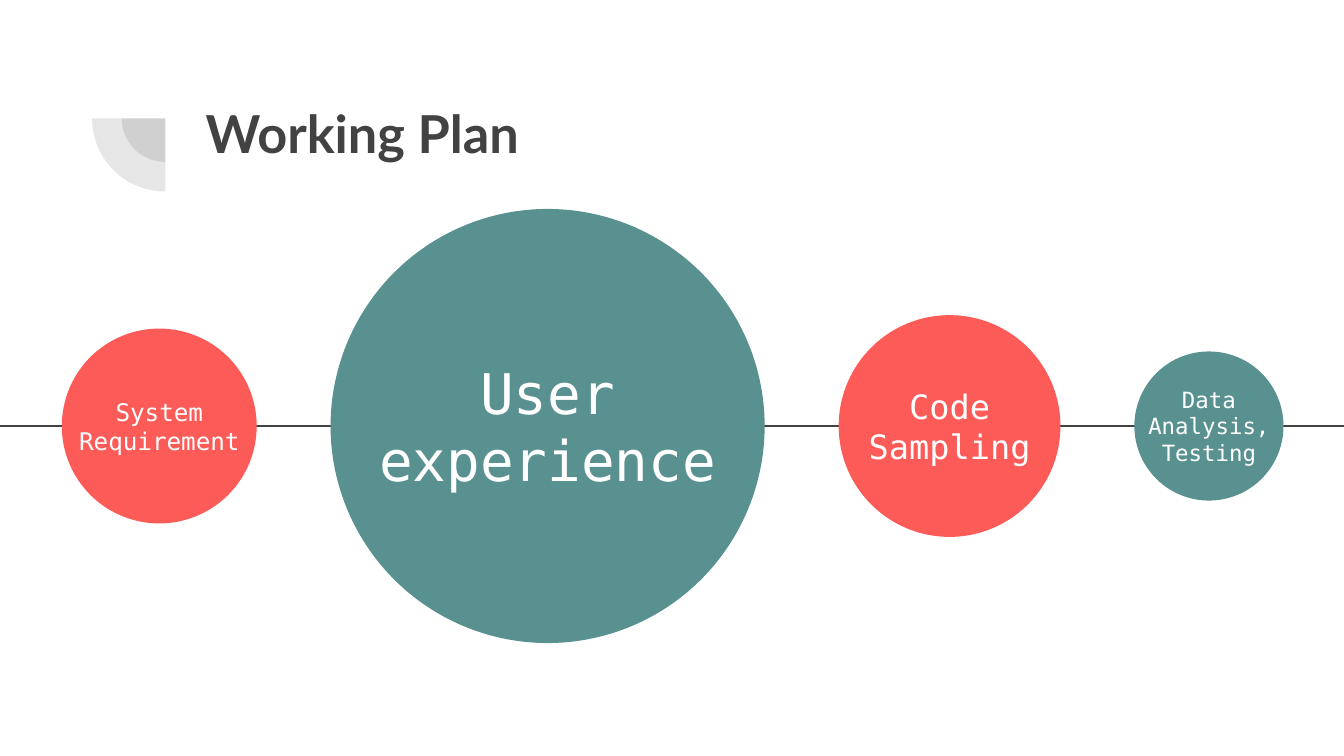
from dataclasses import dataclass

from lxml import etree
from pptx import Presentation
from pptx.dml.color import RGBColor
from pptx.enum.shapes import MSO_CONNECTOR, MSO_SHAPE
from pptx.enum.text import MSO_ANCHOR, MSO_AUTO_SIZE, PP_ALIGN
from pptx.oxml.ns import qn
from pptx.util import Inches, Pt

STRAIGHT = MSO_CONNECTOR.STRAIGHT
PIE, OVAL = MSO_SHAPE.PIE, MSO_SHAPE.OVAL
TOP, MIDDLE = MSO_ANCHOR.TOP, MSO_ANCHOR.MIDDLE
LEFT, CENTER = PP_ALIGN.LEFT, PP_ALIGN.CENTER
NO_AUTOFIT = MSO_AUTO_SIZE.NONE

DARK = RGBColor(0x42, 0x42, 0x42)
CORAL = RGBColor(0xFD, 0x5B, 0x58)
TEAL = RGBColor(0x59, 0x91, 0x91)
WHITE = RGBColor(0xFF, 0xFF, 0xFF)

# Slide (16:9) and timeline grid, in inches
WIDTH = 10
HEIGHT = WIDTH * 9 / 16
AXIS_Y = 3.17
FIRST_LEFT, GAP = 0.46, 0.55
LABEL_HEIGHT = 0.66
PIE_X, PIE_Y = 1.23, 0.88


@dataclass(frozen=True)
class Stage:
    label: str
    diameter: float
    size: int
    color: RGBColor


STAGES = (
    Stage("System Requirement", 1.45, 13, CORAL),
    Stage("User experience", 3.23, 30, TEAL),
    Stage("Code Sampling", 1.65, 18, CORAL),
    Stage("Data Analysis,Testing", 1.11, 12, TEAL),
)


def write(s, text: str, font: str, size: int, color: RGBColor,
          align: PP_ALIGN, anchor: MSO_ANCHOR, bold: bool = False) -> None:
    tf = s.text_frame
    tf.word_wrap = True
    tf.auto_size = NO_AUTOFIT
    tf.vertical_anchor = anchor
    tf.margin_left = tf.margin_right = Inches(0.1)
    tf.margin_top = tf.margin_bottom = Inches(0.1)
    p = tf.paragraphs[0]
    p.alignment = align
    p.line_spacing = 1.0
    r = p.add_run()
    r.text = text
    r.font.name, r.font.size, r.font.bold = font, Pt(size), bold
    r.font.color.rgb = color


def add_round(slide, preset: MSO_SHAPE, cx: float, cy: float,
              diameter: float, color: RGBColor):
    """Add a flat, unlined round shape centred on (cx, cy)."""
    sp = slide.shapes.add_shape(
        preset, Inches(cx - diameter / 2), Inches(cy - diameter / 2),
        Inches(diameter), Inches(diameter))
    sp.shadow.inherit = False
    sp.fill.solid()
    sp.fill.fore_color.rgb = color
    sp.line.fill.background()
    return sp


def add_quarter(slide, diameter: float) -> None:
    """Add a translucent lower-left quarter disc beside the title."""
    sp = add_round(slide, PIE, PIE_X, PIE_Y, diameter, DARK)
    sp.adjustments[0], sp.adjustments[1] = 108, 162
    sp.rotation = 270
    clr = sp._element.spPr.find(qn("a:solidFill"))[0]
    etree.SubElement(clr, qn("a:alpha")).set("val", "13000")


def add_axis(slide) -> None:
    line = slide.shapes.add_connector(
        STRAIGHT, Inches(-0.01), Inches(AXIS_Y), Inches(WIDTH), Inches(AXIS_Y))
    line.line.color.rgb = DARK
    line.line.width = Pt(1.5)
    etree.SubElement(line._element.spPr, qn("a:effectLst"))


def add_stage(slide, stage: Stage, left: float) -> None:
    add_round(slide, OVAL, left + stage.diameter / 2, AXIS_Y,
              stage.diameter, stage.color)
    box = slide.shapes.add_textbox(
        Inches(left), Inches(AXIS_Y - LABEL_HEIGHT / 2),
        Inches(stage.diameter), Inches(LABEL_HEIGHT))
    write(box, stage.label, "DejaVu Sans Mono", stage.size, WHITE,
          CENTER, MIDDLE)


def main() -> None:
    prs = Presentation()
    prs.slide_width, prs.slide_height = Inches(WIDTH), Inches(HEIGHT)
    slide = prs.slides.add_slide(prs.slide_layouts[5])

    title = slide.shapes.title
    title.left, title.top = Inches(1.43), Inches(0.65)
    title.width, title.height = Inches(7.69), Inches(1.09)
    write(title, "Working Plan", "Lato", 28, DARK, LEFT, TOP, bold=True)

    for diameter in (0.65, 1.09):
        add_quarter(slide, diameter)

    add_axis(slide)
    left = FIRST_LEFT
    for stage in STAGES:
        add_stage(slide, stage, left)
        left += stage.diameter + GAP

    prs.save("out.pptx")


if __name__ == "__main__":
    main()
